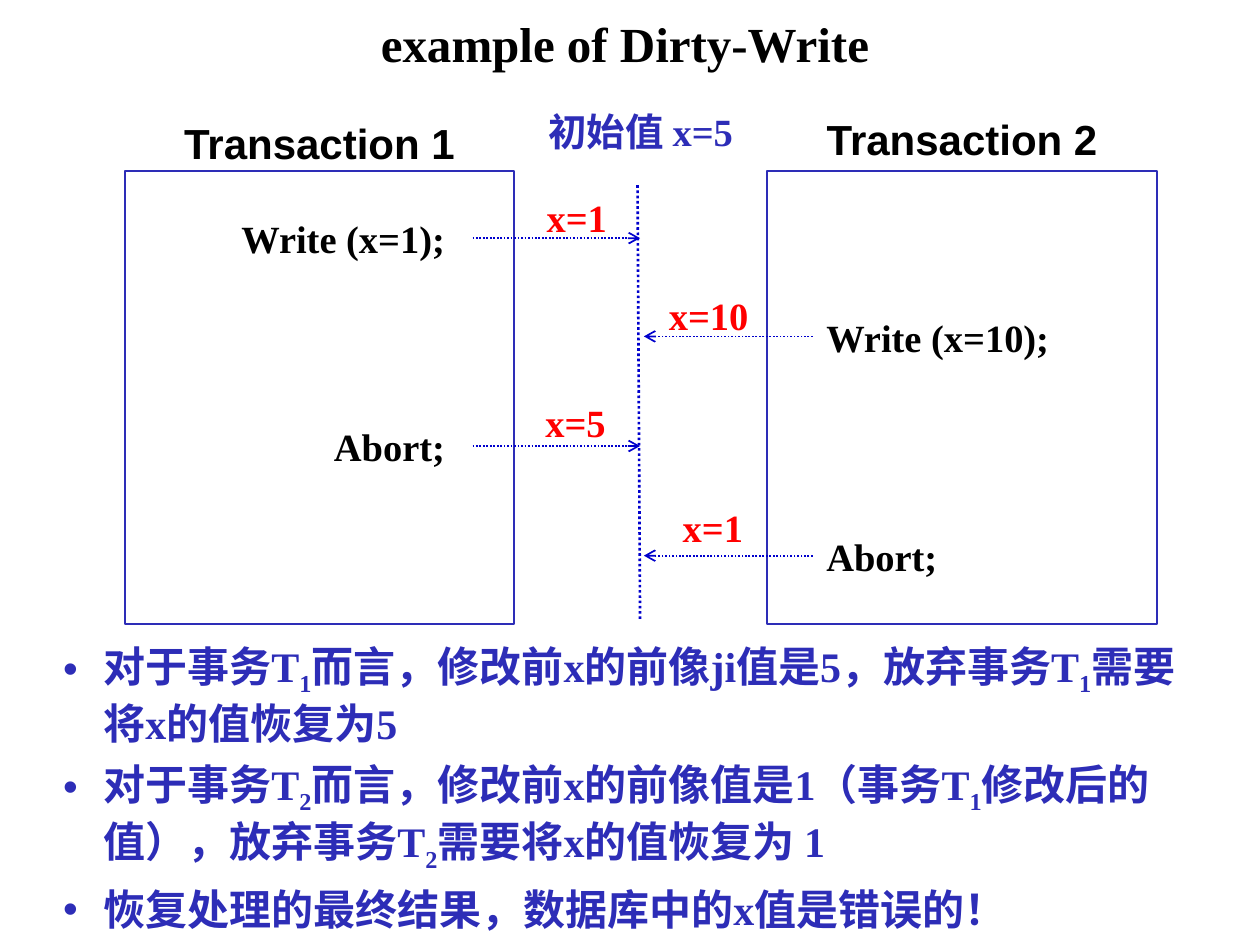
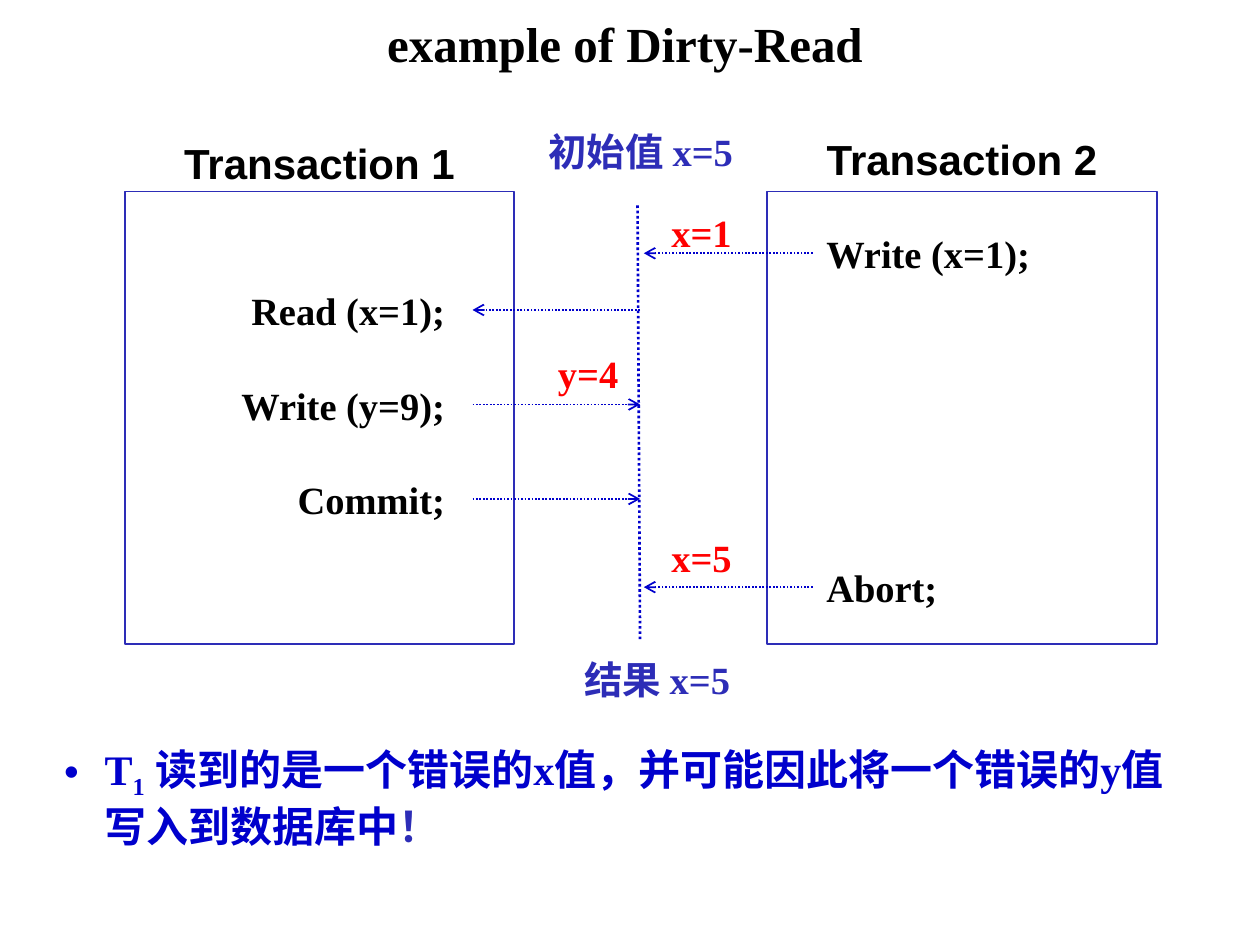
from lxml.etree import SubElement
from pptx import Presentation
from pptx.dml.color import RGBColor
from pptx.enum.dml import MSO_LINE
from pptx.enum.shapes import MSO_CONNECTOR, MSO_SHAPE
from pptx.enum.text import MSO_ANCHOR, MSO_AUTO_SIZE, PP_ALIGN
from pptx.oxml.ns import qn
from pptx.util import Inches, Pt

COLOURS = {"black": "000000", "white": "FFFFFF", "indigo": "2D2DB7",
           "blue": "0000CC", "red": "FF0000"}
SERIF, SANS = "Times New Roman", "Arial"
BOX_WIDTH, BOX_HEIGHT = 3.09, 3.59
LABEL_HEIGHT = 0.47
LEFT, CENTER, RIGHT = PP_ALIGN.LEFT, PP_ALIGN.CENTER, PP_ALIGN.RIGHT

# step: transaction, action, arrow y, arrow ends (from x, to x)
# value: text, left, top, width
WRITE_1, READ_1, WRITE_2 = (3.75, 5.08), (5.08, 3.75), (6.45, 5.11)
examples = [
    {"title": "example of Dirty-Write", "box_top": 1.36,
     "steps": [(1, "Write (x=1);", 1.89, WRITE_1),
               (2, "Write (x=10);", 2.67, WRITE_2),
               (1, "Abort;", 3.54, WRITE_1),
               (2, "Abort;", 4.41, WRITE_2)],
     "values": [("x=1", 4.24, 1.49, 0.68), ("x=10", 5.21, 2.27, 0.9),
                ("x=5", 4.23, 3.12, 0.68), ("x=1", 5.32, 3.95, 0.68)],
     "result": None,
     "notes_at": (0.4, 5.03, 9.12, 2.29), "space_after": 6,
     "notes": [
         [("对于事务T", "indigo"), ("1", "indigo"),
          ("而言，修改前x的前像ji值是5，放弃事务T", "indigo"), ("1", "indigo"),
          ("需要将x的值恢复为5", "indigo")],
         [("对于事务T", "indigo"), ("2", "indigo"),
          ("而言，修改前x的前像值是1（事务T", "indigo"), ("1", "indigo"),
          ("修改后的值），放弃事务T", "indigo"), ("2", "indigo"),
          ("需要将x的值恢复为 1", "indigo")],
         [("恢复处理的最终结果，数据库中的x值是错误的！", "indigo")]]},
    {"title": "example of Dirty-Read", "box_top": 1.52,
     "steps": [(2, "Write (x=1);", 2.01, WRITE_2),
               (1, "Read (x=1);", 2.46, READ_1),
               (1, "Write (y=9);", 3.21, WRITE_1),
               (1, "Commit;", 3.96, WRITE_1),
               (2, "Abort;", 4.66, WRITE_2)],
     "values": [("x=1", 5.23, 1.61, 0.68), ("y=4", 4.33, 2.73, 0.68),
                ("x=5", 5.23, 4.19, 0.68)],
     "result": "结果 x=5",
     "notes_at": (0.41, 5.85, 9.12, 0.91), "space_after": 0,
     "notes": [
         [("T", "blue"), ("1", "blue"),
          (" 读到的是一个错误的x值，并可能因此将一个错误的y值写入到数据库中", "blue"),
          ("！", "indigo")]]},
]


def write(shape, at, paragraphs, size, align=LEFT, font=SERIF):
    """Place a text shape and fill it with bold runs; runs of digits are subscripts."""
    shape.left, shape.top, shape.width, shape.height = map(Inches, at)
    frame = shape.text_frame
    frame.word_wrap = True
    frame.auto_size = MSO_AUTO_SIZE.SHAPE_TO_FIT_TEXT
    frame.vertical_anchor = MSO_ANCHOR.TOP
    for index, runs in enumerate(paragraphs):
        paragraph = frame.add_paragraph() if index else frame.paragraphs[0]
        paragraph.alignment = align
        paragraph.space_before = Pt(0)
        for text, colour in runs:
            run = paragraph.add_run()
            run.text = text
            run.font.name, run.font.size, run.font.bold = font, Pt(size), True
            run.font.color.rgb = RGBColor.from_string(COLOURS[colour])
            if text.isdigit():
                run.font._element.set("baseline", "-25000")


def dotted_line(slide, start, end, width, arrow=False):
    line = slide.shapes.add_connector(MSO_CONNECTOR.STRAIGHT,
                                      *map(Inches, start + end))
    line.line.color.rgb = RGBColor.from_string(COLOURS["blue"])
    line.line.width = Pt(width)
    line.line.dash_style = MSO_LINE.ROUND_DOT
    if arrow:
        SubElement(line.line._get_or_add_ln(), qn("a:tailEnd"), type="arrow")
    SubElement(line._element.spPr, qn("a:effectLst"))


prs = Presentation()
prs.slide_width, prs.slide_height = Inches(10), Inches(7.5)

for example in examples:
    slide = prs.slides.add_slide(prs.slide_layouts[1])
    shapes = slide.shapes
    box_top = example["box_top"]
    write(shapes.title, (1.24, 0.06, 7.44, 0.57),
          [[(example["title"], "black")]], 28, CENTER)

    for name, left, heading_rise in [("Transaction 1", 0.99, 0.48),
                                     ("Transaction 2", 6.09, 0.51)]:
        transaction = shapes.add_shape(
            MSO_SHAPE.RECTANGLE, Inches(left), Inches(box_top),
            Inches(BOX_WIDTH), Inches(BOX_HEIGHT))
        transaction.shadow.inherit = False
        transaction.fill.solid()
        transaction.fill.fore_color.rgb = RGBColor.from_string(COLOURS["white"])
        transaction.line.color.rgb = RGBColor.from_string(COLOURS["indigo"])
        transaction.line.width = Pt(1)
        write(shapes.add_textbox(0, 0, 0, 0),
              (left, box_top - heading_rise, BOX_WIDTH, 0.5),
              [[(name, "black")]], 24, CENTER, SANS)

    write(shapes.add_textbox(0, 0, 0, 0),
          (4.08, box_top - 0.55, 2.01, LABEL_HEIGHT),
          [[("初始值 x=5", "indigo")]], 22, CENTER)
    dotted_line(slide, (5.06, box_top + 0.11), (5.08, box_top + 3.56), 1.5)

    for transaction_number, action, y, (from_x, to_x) in example["steps"]:
        left, align = (1.1, RIGHT) if transaction_number == 1 else (6.46, LEFT)
        write(shapes.add_textbox(0, 0, 0, 0), (left, y - 0.23, 2.53, LABEL_HEIGHT),
              [[(action, "black")]], 22, align)
        dotted_line(slide, (from_x, y), (to_x, y), 1, arrow=True)

    for value, left, top, width in example["values"]:
        write(shapes.add_textbox(0, 0, 0, 0), (left, top, width, LABEL_HEIGHT),
              [[(value, "red")]], 22)

    if example["result"]:
        write(shapes.add_textbox(0, 0, 0, 0), (3.45, 5.16, 3.53, LABEL_HEIGHT),
              [[(example["result"], "indigo")]], 22, CENTER)

    notes = slide.placeholders[1]
    write(notes, example["notes_at"], example["notes"], 24)
    for paragraph in notes.text_frame.paragraphs:
        paragraph.space_after = Pt(example["space_after"])
        properties = paragraph._p.get_or_add_pPr()
        properties.set("marL", str(Inches(0.32)))
        properties.set("indent", str(-Inches(0.32)))
        SubElement(properties, qn("a:buChar"), char="•")

prs.save("out.pptx")
